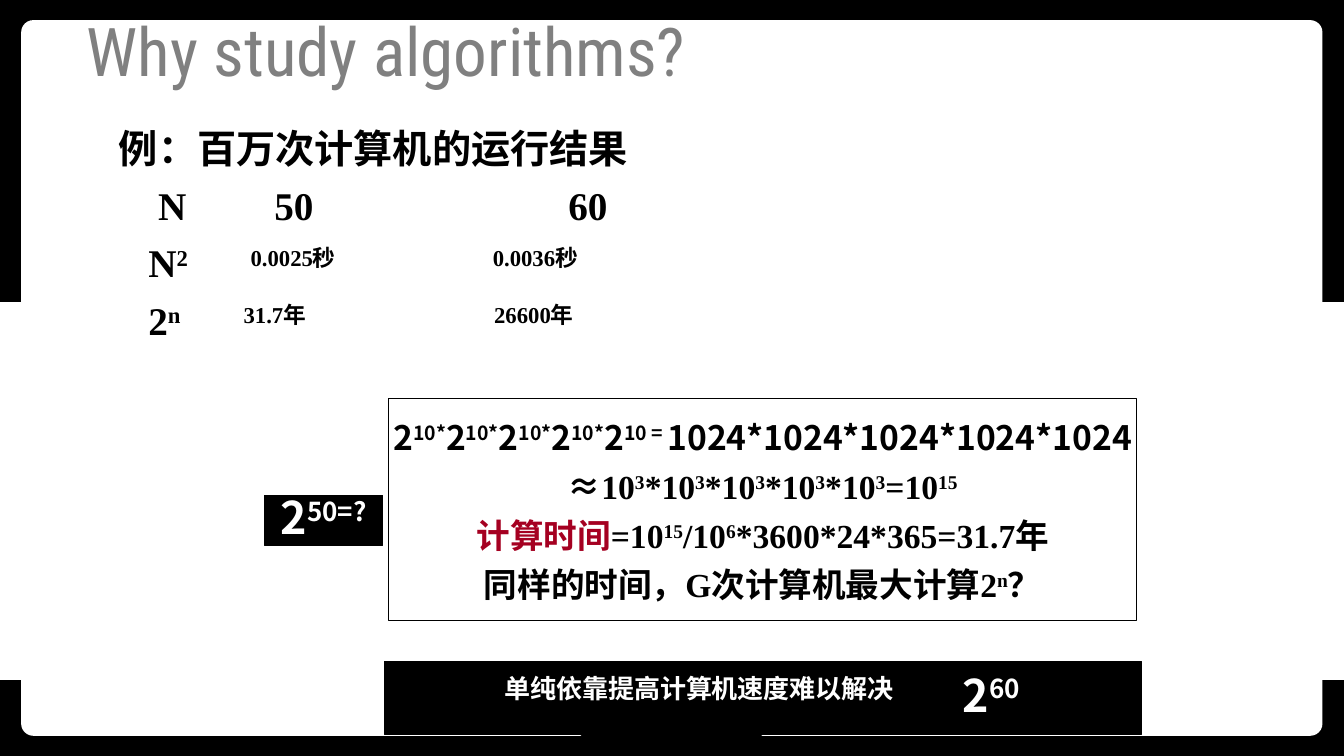
from lxml import etree
from pptx import Presentation
from pptx.dml.color import RGBColor
from pptx.enum.shapes import MSO_SHAPE
from pptx.enum.text import MSO_ANCHOR, PP_ALIGN
from pptx.oxml.ns import qn
from pptx.util import Pt

RECTANGLE, ROUNDED, PENTAGON = MSO_SHAPE.RECTANGLE, MSO_SHAPE.ROUNDED_RECTANGLE, MSO_SHAPE.PENTAGON
LEFT, CENTER = PP_ALIGN.LEFT, PP_ALIGN.CENTER
TOP, MIDDLE, BOTTOM = MSO_ANCHOR.TOP, MSO_ANCHOR.MIDDLE, MSO_ANCHOR.BOTTOM
SANS, SERIF = "Noto Sans CJK SC", "Times New Roman"
BLACK, WHITE, GRAY, RED = "000000", "FFFFFF", "808080", "A50021"


def add_box(kind, left, top, width, height, fill, line_width=0):
    shape = slide.shapes.add_shape(kind, Pt(left), Pt(top), Pt(width), Pt(height))
    shape.shadow.inherit = False
    shape.fill.solid()
    shape.fill.fore_color.rgb = RGBColor.from_string(fill)
    if line_width:
        shape.line.color.rgb = RGBColor.from_string(BLACK)
        shape.line.width = Pt(line_width)
    else:
        shape.line.fill.background()
    return shape


def write_lines(frame, lines, size, color, frame_format, paragraph_format, bold=True):
    """Each line is (tab stops, segments); in a segment, | switches superscript on and off."""
    for name, value in frame_format.items():
        setattr(frame, name, value)
    for index, (tabs, segments) in enumerate(lines):
        paragraph = frame.paragraphs[0] if index == 0 else frame.add_paragraph()
        if tabs:
            tab_list = etree.SubElement(paragraph._p.get_or_add_pPr(), qn("a:tabLst"))
            for position in tabs:
                etree.SubElement(tab_list, qn("a:tab"), pos=str(Pt(position)), algn="l")
        for name, value in paragraph_format.items():
            setattr(paragraph, name, value)
        paragraph.space_before = Pt(size * 0.2 if index else 0)
        for text, font_name, *own_color in segments:
            for part, piece in enumerate(text.split("|")):
                if not piece:
                    continue
                run = paragraph.add_run()
                run.text = piece
                font = run.font
                for name, value in {"size": Pt(size), "bold": bold, "name": font_name}.items():
                    setattr(font, name, value)
                font.color.rgb = RGBColor.from_string(own_color[0] if own_color else color)
                east_asian = SANS if font_name == SERIF else font_name
                etree.SubElement(font._element, qn("a:ea"), typeface=east_asian)
                if part % 2:
                    font._element.set("baseline", "30000")


presentation = Presentation()
presentation.slide_width, presentation.slide_height = Pt(960), Pt(540)
slide = presentation.slides.add_slide(presentation.slide_layouts[5])

# Black frame around a white rounded panel, with a tab at the bottom
add_box(RECTANGLE, 0, 0, 960, 215.3, BLACK, 1)
add_box(RECTANGLE, 0, 486, 960, 54, BLACK, 1)
panel = add_box(ROUNDED, 15.1, 14.4, 929.5, 511.2, WHITE)
panel.adjustments[0] = 0.017
bottom_tab = add_box(PENTAGON, 455.8, 446.4, 47.5, 129.6, BLACK)
bottom_tab.adjustments[0] = 0.802
bottom_tab.rotation = 270
bottom_tab._element.spPr.find(qn("a:xfrm")).set("flipV", "1")

# Title, brought in front of the frame
title = slide.shapes.title
title._element.getparent().append(title._element)
for name, value in {"left": 52.6, "top": 34.6, "width": 854.6, "height": 34.6}.items():
    setattr(title, name, Pt(value))
insets = {"margin_left": Pt(9.4), "margin_right": Pt(9.4), "margin_top": Pt(5), "margin_bottom": Pt(5)}
write_lines(title.text_frame, [((), [("Why study algorithms?", "Roboto Condensed")])], 48, GRAY,
            {"word_wrap": True, "vertical_anchor": BOTTOM, **insets}, {"alignment": LEFT}, bold=False)

# Running times in tabbed columns
running_times = slide.shapes.add_textbox(Pt(75.6), Pt(82.1), Pt(688.3), Pt(247.7))
write_lines(running_times.text_frame, [
    ((), [("例：百万次计算机的运行结果", SERIF)]),
    ((28, 111, 321), [("\tN\t50\t60", SERIF)]),
    ((21, 94, 267), [("\tN|2\t0.0025秒\t0.0036秒", SERIF)]),
    ((21, 89, 268), [("\t2|n\t31.7年\t26600年", SERIF)]),
], 28, BLACK, {"word_wrap": True, "vertical_anchor": TOP, **insets},
    {"alignment": LEFT, "line_spacing": 1.05})

# Question label
centered = {"word_wrap": False, "vertical_anchor": MIDDLE}
question = add_box(RECTANGLE, 189.1, 353.7, 84.2, 36, BLACK, 0.75)
write_lines(question.text_frame, [((), [("2|50=?", SANS)])], 32, WHITE, centered,
            {"alignment": CENTER, "line_spacing": 0.9})

# Calculation
calculation = add_box(RECTANGLE, 277.7, 284.6, 534.2, 158.8, WHITE, 0.75)
powers_of_two = "2|10*|" * 4 + "2|10 = |"
powers_of_ten = "*".join(["10|3|"] * 5)
write_lines(calculation.text_frame, [
    ((), [(powers_of_two + "*".join(["1024"] * 5), SANS)]),
    ((), [("≈", SANS), (powers_of_ten + "=10|15", SERIF)]),
    ((), [("计算时间", SERIF, RED), ("=10|15|/10|6|*3600*24*365=31.7年", SERIF)]),
    ((), [("同样的时间，G次计算机最大计算2|n|？", SERIF)]),
], 24, BLACK, centered, {"alignment": CENTER, "line_spacing": 1.05})

# Conclusion banner
conclusion = add_box(RECTANGLE, 274.6, 472.3, 540.7, 52.2, BLACK, 0.75)
write_lines(conclusion.text_frame, [((79, 406), [("|\t单纯依靠提高计算机速度难以解决\t|2|60", SANS)])],
            32, WHITE, {"word_wrap": True, "vertical_anchor": MIDDLE},
            {"alignment": LEFT, "line_spacing": 0.9})

presentation.save("out.pptx")
